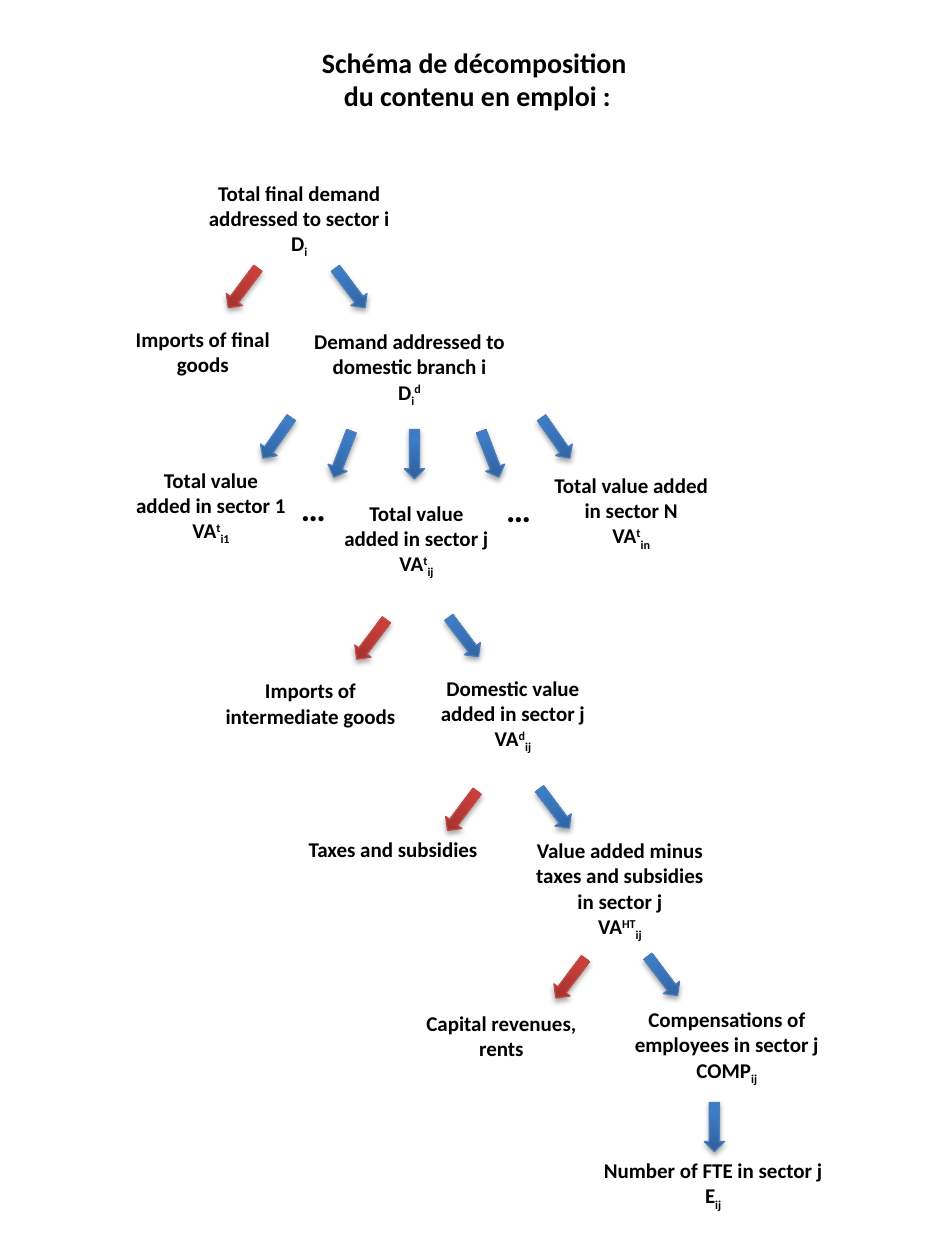
"""Build the employment content decomposition diagram."""
from dataclasses import dataclass

from pptx import Presentation
from pptx.dml.color import RGBColor
from pptx.enum.shapes import MSO_SHAPE
from pptx.enum.text import MSO_ANCHOR, MSO_AUTO_SIZE, PP_ALIGN
from pptx.oxml import parse_xml
from pptx.oxml.ns import nsdecls, qn
from pptx.util import Pt

BLACK = RGBColor(0x00, 0x00, 0x00)
FONT = "Calibri"
LINE_HEIGHT, PADDING = 14.6, 7.2
ARROW_WIDTH, ARROW_HEIGHT = 11.5, 28.1
BASELINES = {"_": "-25000", "^": "30000"}


@dataclass(frozen=True)
class Palette:
    dark: RGBColor
    middle: RGBColor
    light: RGBColor
    outline: RGBColor


BLUE = Palette(RGBColor(0x2F, 0x5F, 0x99), RGBColor(0x3D, 0x7C, 0xC7),
               RGBColor(0x3A, 0x7C, 0xCB), RGBColor(0x4B, 0x7E, 0xBC))
RED = Palette(RGBColor(0x9C, 0x2F, 0x2D), RGBColor(0xCB, 0x3E, 0x3A),
              RGBColor(0xCE, 0x3B, 0x37), RGBColor(0xBF, 0x4C, 0x48))


@dataclass(frozen=True)
class Quantity:
    label: str
    left: float
    top: float
    width: float
    lines: int
    symbol: str = ""


@dataclass(frozen=True)
class Arrow:
    left: float
    top: float
    rotation: float = 0
    palette: Palette = BLUE


QUANTITIES = [
    Quantity("Total final demand addressed to sector i", 94.3, 99.4, 153.4, 3, "D_i"),
    Quantity("Imports of final goods", 62.6, 182.9, 106.6, 2),
    Quantity("Demand addressed to domestic branch i", 167.8, 184.3, 132.5, 3, "D_i^d"),
    Quantity("Total value added in sector 1", 69.8, 263.5, 101.5, 3, "VA^t_i1"),
    Quantity("Total value added in sector j", 187.2, 282.2, 101.5, 3, "VA^t_ij"),
    Quantity("Total value added in sector N", 307.4, 266.4, 106.6, 3, "VA^t_in"),
    Quantity("Imports of intermediate goods", 120.2, 383.8, 114.5, 2),
    Quantity("Domestic value added in sector j", 243.4, 382.3, 99.4, 3, "VA^d_ij"),
    Quantity("Taxes and subsidies", 162, 474.5, 125.3, 1),
    Quantity("Value added minus taxes and subsidies in sector j",
             294.5, 475.2, 119.5, 4, "VA^HT_ij"),
    Quantity("Capital revenues, rents", 234.7, 573.8, 103.7, 2),
    Quantity("Compensations of employees in sector j", 350.6, 571.7, 129.6, 3, "COMP_ij"),
    Quantity("Number of FTE in sector j", 319.7, 658.1, 175.7, 2, "E_ij"),
]
ELLIPSES = [(164.9, 274.3), (282.2, 275)]
LEAKS = [(133.2, 150.5), (206.6, 351.4), (258.5, 449.3), (320.4, 545)]
FLOWS = [(194.4, 150.5)] + [(left + 52.6, top - 1.4) for left, top in LEAKS[1:]]
ARROWS = [
    *(Arrow(left, top, 37, RED) for left, top in LEAKS),
    *(Arrow(left, top, 323) for left, top in FLOWS),
    Arrow(152.6, 236.2, 35),
    Arrow(190.1, 245.5, 21),
    Arrow(231.1, 245.5),
    Arrow(274.3, 245.5, 339),
    Arrow(311.8, 236.2, 325),
    Arrow(402.5, 630),
]


def format_paragraph(paragraph, size: float, alignment=PP_ALIGN.CENTER) -> None:
    """Apply the bold black type of the diagram."""
    paragraph.alignment = alignment
    font = paragraph.font
    font.name, font.size, font.bold = FONT, Pt(size), True
    font.color.rgb = BLACK


def add_title(slide) -> None:
    """Place and format the title."""
    title = slide.shapes.title
    title.left, title.top, title.width, title.height = map(Pt, (145.4, 22.3, 254.9, 46.1))
    frame = title.text_frame
    frame.text = "Schéma de décomposition \ndu contenu en emploi :"
    frame.word_wrap = True
    frame.auto_size = MSO_AUTO_SIZE.SHAPE_TO_FIT_TEXT
    frame.vertical_anchor = MSO_ANCHOR.TOP
    for paragraph in frame.paragraphs:
        format_paragraph(paragraph, 16)


def add_label(slide, text: str, left: float, top: float, width: float, height: float):
    """Add a text box and return its text frame."""
    frame = slide.shapes.add_textbox(*map(Pt, (left, top, width, height))).text_frame
    frame.text = text
    frame.word_wrap = True
    frame.auto_size = MSO_AUTO_SIZE.SHAPE_TO_FIT_TEXT
    return frame


def add_quantity(slide, quantity: Quantity) -> None:
    """Add a quantity with its indexed symbol."""
    frame = add_label(slide, quantity.label, quantity.left, quantity.top,
                      quantity.width, quantity.lines * LINE_HEIGHT + PADDING)
    if quantity.symbol:
        formula = frame.add_paragraph()
        for part in quantity.symbol.replace("_", "|_").replace("^", "|^").split("|"):
            run = formula.add_run()
            run.text = part.lstrip("_^")
            if part[0] in BASELINES:
                run.font._element.set("baseline", BASELINES[part[0]])
    for paragraph in frame.paragraphs:
        format_paragraph(paragraph, 12)


def add_ellipsis(slide, left: float, top: float) -> None:
    """Add the dots standing for the sectors in between."""
    frame = add_label(slide, "…", left, top, 28.8, 31.7)
    frame.word_wrap = False
    format_paragraph(frame.paragraphs[0], 20, PP_ALIGN.LEFT)


def add_arrow(slide, arrow: Arrow) -> None:
    """Add a shaded block arrow with a soft shadow."""
    shape = slide.shapes.add_shape(
        MSO_SHAPE.DOWN_ARROW,
        *map(Pt, (arrow.left, arrow.top, ARROW_WIDTH, ARROW_HEIGHT)))
    shape.rotation = arrow.rotation
    palette = arrow.palette
    shape.line.color.rgb = palette.outline
    shape.line.width = Pt(0.75)
    shape.fill.gradient()
    shape.shadow.inherit = False
    properties = shape._element.spPr
    stops = "".join(
        f'<a:gs pos="{position}"><a:srgbClr val="{color}"/></a:gs>'
        for position, color in ((0, palette.dark), (80000, palette.middle),
                                (100000, palette.light)))
    properties.replace(properties.find(qn("a:gradFill")), parse_xml(
        f'<a:gradFill {nsdecls("a")} rotWithShape="1"><a:gsLst>{stops}</a:gsLst>'
        '<a:lin ang="16200000" scaled="0"/></a:gradFill>'))
    properties.find(qn("a:effectLst")).append(parse_xml(
        f'<a:outerShdw {nsdecls("a")} blurRad="{Pt(3.1)}" dist="{Pt(1.8)}" '
        'dir="5400000" rotWithShape="0"><a:srgbClr val="000000">'
        '<a:alpha val="35000"/></a:srgbClr></a:outerShdw>'))


def main() -> None:
    """Create and save the slide."""
    presentation = Presentation()
    presentation.slide_width, presentation.slide_height = Pt(540), Pt(720)
    slide = presentation.slides.add_slide(presentation.slide_layouts[5])
    add_title(slide)
    for quantity in QUANTITIES:
        add_quantity(slide, quantity)
    for left, top in ELLIPSES:
        add_ellipsis(slide, left, top)
    for arrow in ARROWS:
        add_arrow(slide, arrow)
    presentation.save("out.pptx")


main()
